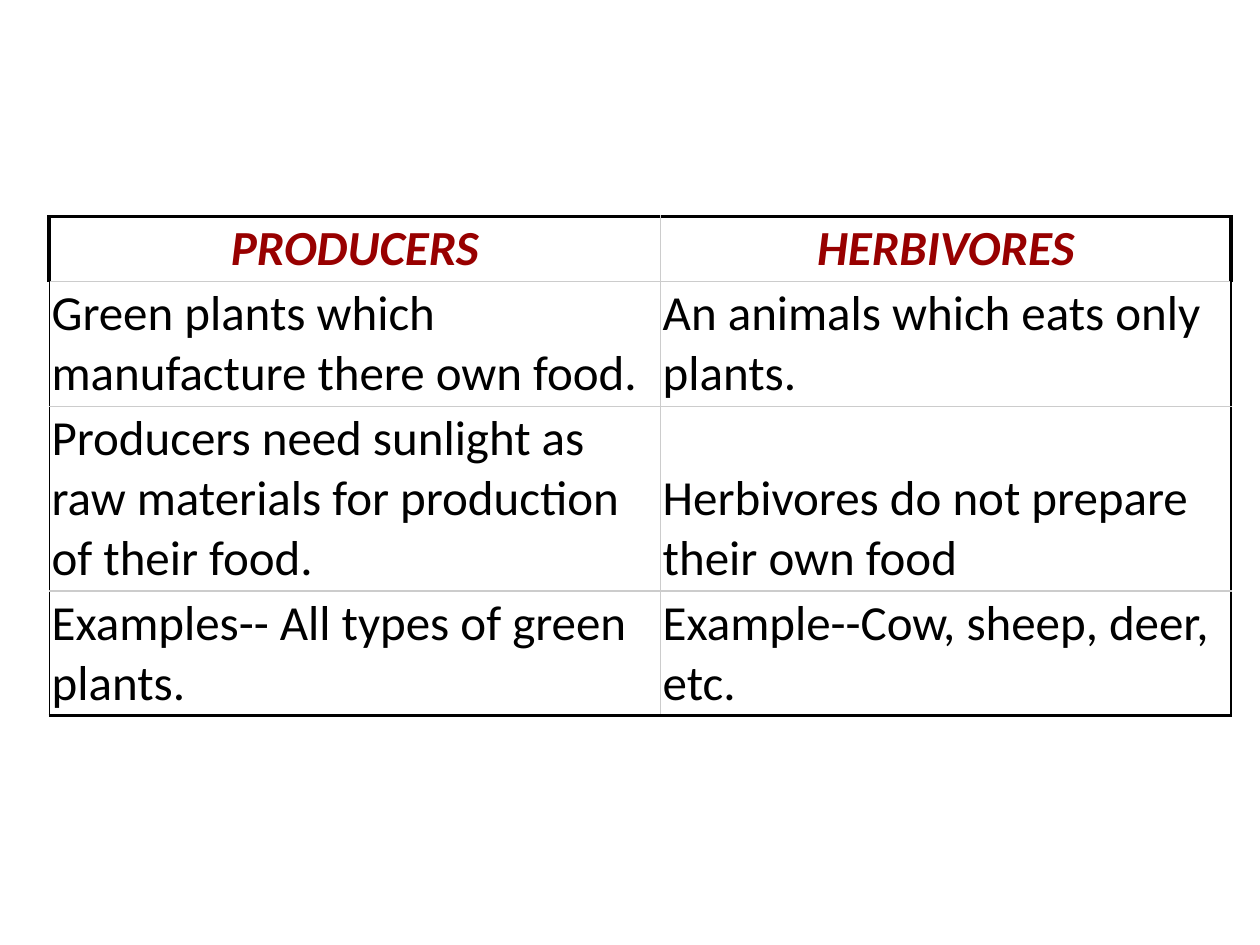
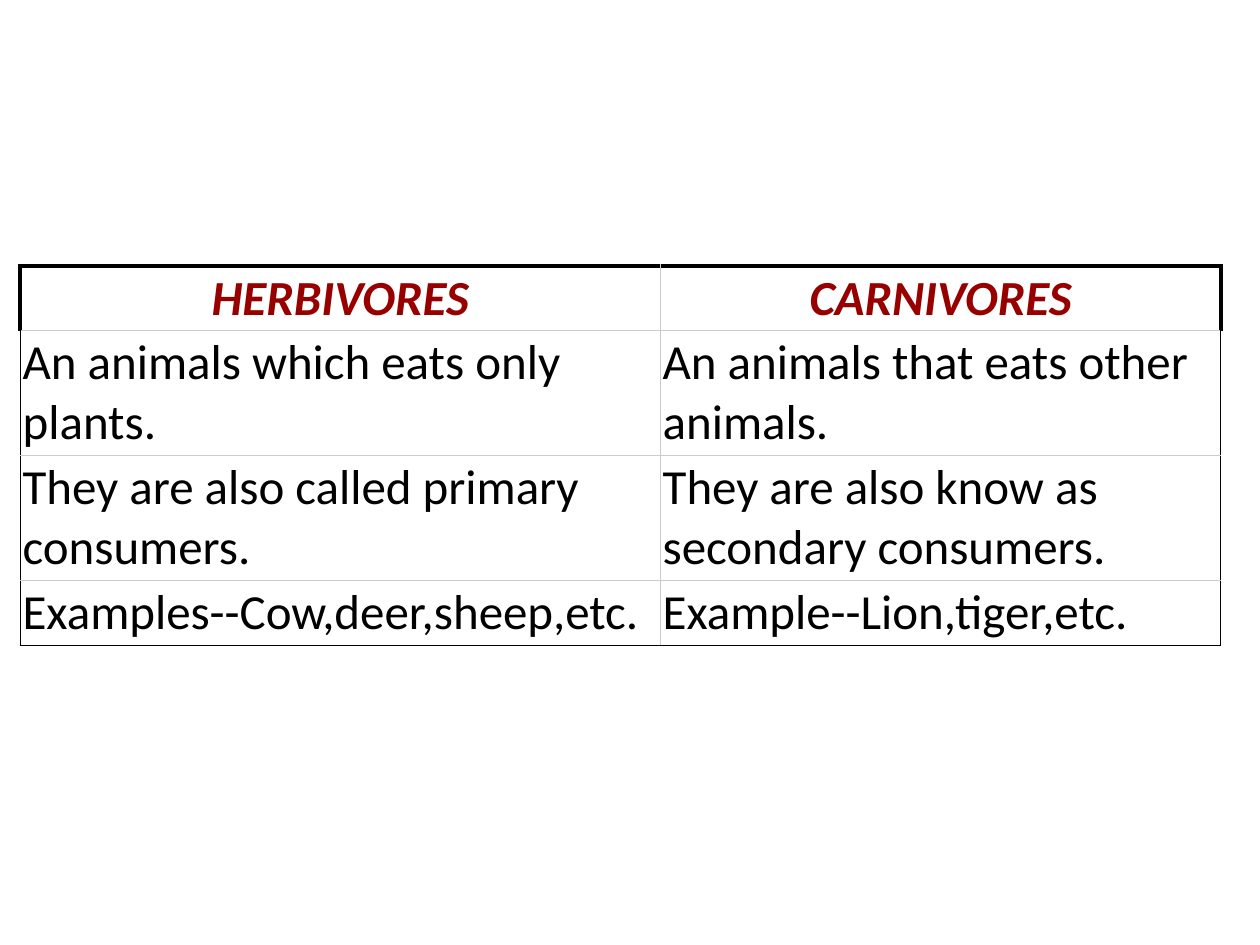
"""Build two slides, each with a table comparing two groups of living things."""
from lxml import etree
from pptx import Presentation
from pptx import util as u
from pptx.dml.color import RGBColor
from pptx.enum import text
from pptx.oxml import ns

BLACK, GREY, RED = "000000", "CCCCCC", "980000"
FONT, SIZE = "Calibri", 28
INSET, LINE = 0.02, 0.47
THIN, THICK = 0.75, 2.25


def rgb(code):
    return RGBColor.from_string(code)


def border(cell, side, color, width):
    ln = etree.SubElement(cell._tc.get_or_add_tcPr(), ns.qn("a:ln" + side), w=str(u.Pt(width)))
    fill = etree.SubElement(ln, ns.qn("a:solidFill"))
    etree.SubElement(fill, ns.qn("a:srgbClr"), val=color)


comparisons = [
    dict(left=0.39, top=1.72, cols=[4.85, 4.53], lines=[1, 2, 3, 2], bottom=THICK, rows=[
        ("PRODUCERS", "HERBIVORES"),
        ("Green plants which manufacture there own food.", "An animals which eats only plants."),
        ("Producers need sunlight as raw materials for production of their food.",
         "Herbivores do not prepare their own food"),
        ("Examples-- All types of green plants.", "Example--Cow, sheep, deer, etc."),
    ]),
    dict(left=0.16, top=2.11, cols=[5.08, 4.45], lines=[1, 2, 2, 1], bottom=THIN, rows=[
        ("HERBIVORES", "CARNIVORES"),
        ("An animals which eats only plants.", "An animals that eats other animals."),
        ("They are also called primary consumers.", "They are also know as secondary consumers."),
        ("Examples--Cow,deer,sheep,etc.", "Example--Lion,tiger,etc."),
    ]),
]

prs = Presentation()
prs.slide_width, prs.slide_height = u.Inches(10), u.Inches(7.5)

for c in comparisons:
    s = prs.slides.add_slide(prs.slide_layouts[6])
    heights = [LINE * n + 2 * INSET for n in c["lines"]]
    tbl = s.shapes.add_table(len(heights), len(c["cols"]), u.Inches(c["left"]), u.Inches(c["top"]),
                             u.Inches(sum(c["cols"])), u.Inches(sum(heights))).table
    tbl.horz_banding = False
    for col, width in zip(tbl.columns, c["cols"]):
        col.width = u.Inches(width)
    for i, (row, height) in enumerate(zip(tbl.rows, heights)):
        row.height = u.Inches(height)
        head, last = i == 0, i == len(heights) - 1
        side_width = THICK if head else THIN
        for j, cell in enumerate(row.cells):
            border(cell, "L", *((GREY, THIN) if j else (BLACK, side_width)))
            border(cell, "R", *((BLACK, side_width) if j else (GREY, THIN)))
            border(cell, "T", *((BLACK, THICK) if head else (GREY, THIN)))
            border(cell, "B", *((BLACK, c["bottom"]) if last else (GREY, THIN)))
            cell.fill.background()
            cell.margin_left = cell.margin_right = u.Inches(INSET)
            cell.margin_top = cell.margin_bottom = u.Inches(INSET)
            cell.vertical_anchor = text.MSO_ANCHOR.BOTTOM
            p = cell.text_frame.paragraphs[0]
            p.alignment = text.PP_ALIGN.CENTER if head else text.PP_ALIGN.LEFT
            r = p.add_run()
            r.text = c["rows"][i][j]
            r.font.name, r.font.size = FONT, u.Pt(SIZE)
            r.font.bold = r.font.italic = head
            r.font.color.rgb = rgb(RED if head else BLACK)

prs.save("out.pptx")
